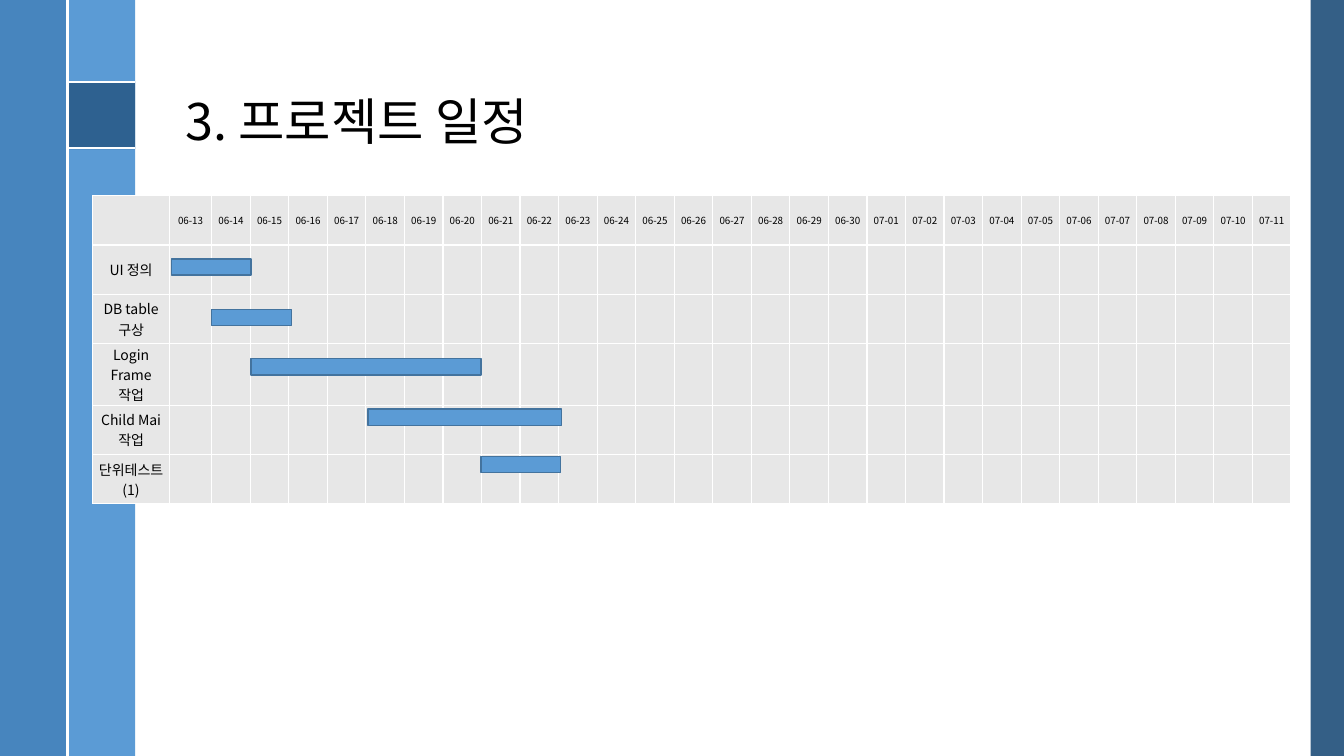
"""Build the project schedule slide with its Gantt chart."""
from dataclasses import dataclass

from lxml.etree import SubElement
from pptx import Presentation
from pptx.dml.color import RGBColor
from pptx.enum.shapes import MSO_CONNECTOR, MSO_SHAPE
from pptx.enum.text import MSO_ANCHOR, PP_ALIGN
from pptx.oxml.ns import qn
from pptx.util import Inches, Pt

FONT = "Noto Sans CJK KR"
BLACK = RGBColor(0x00, 0x00, 0x00)
WHITE = RGBColor(0xFF, 0xFF, 0xFF)
GRAY = RGBColor(0xE7, 0xE7, 0xE7)
NAVY = RGBColor(0x1F, 0x4E, 0x79)
BLUE = RGBColor(0x2E, 0x75, 0xB6)
SKY = RGBColor(0x5B, 0x9B, 0xD5)
EDGE = RGBColor(0x43, 0x73, 0x9E)

WIDE, HIGH = 13.33, 7.5
LEFT, TOP, SPAN = 0.92, 1.94, 11.89
NAME_COL, FIRST_COL = 0.76, 0.42
ROW, TALL = 0.49, 0.61
BAR = 0.16


@dataclass
class Band:
    left: float
    top: float
    width: float
    height: float
    color: RGBColor
    alpha: int = 100


@dataclass
class Rule:
    left: float
    top: float
    right: float
    base: float


@dataclass
class Task:
    name: str
    start: float
    top: float
    width: float
    height: float = ROW


BANDS = [
    Band(13, 0, 0.33, HIGH, NAVY, 90),
    Band(0.67, 0, 0.67, HIGH, SKY),
    Band(0, 0, 0.67, HIGH, BLUE, 88),
    Band(0.67, 0.81, 0.67, 0.67, NAVY, 75),
]
RULES = [
    Rule(0.67, 0.81, 1.34, 0.81),
    Rule(0.67, 1.47, 1.34, 1.47),
    Rule(0.67, 0, 0.67, HIGH),
]
TASKS = [
    Task("UI 정의", 1.7, 2.57, 0.79),
    Task("DB table 구상", 2.1, 3.07, 0.79),
    Task("Login\nFrame\n작업", 2.49, 3.56, 2.28, TALL),
    Task("Child Mai\n작업", 3.65, 4.06, 1.92),
    Task("단위테스트 (1)", 4.77, 4.53, 0.79),
]
DATES = [f"06-{day:02}" for day in range(13, 31)]
DATES += [f"07-{day:02}" for day in range(1, 12)]


def style(frame, size: float) -> None:
    """Format every run of a text frame."""
    for para in frame.paragraphs:
        for run in para.runs:
            run.font.size = Pt(size)
            run.font.name = FONT
            run.font.color.rgb = BLACK
            SubElement(run.font._element, qn("a:ea"), typeface=FONT)


def draw_band(slide, band: Band):
    """Draw a plain filled box and return it."""
    shape = slide.shapes.add_shape(
        MSO_SHAPE.RECTANGLE, Inches(band.left), Inches(band.top),
        Inches(band.width), Inches(band.height))
    shape.shadow.inherit = False
    shape.fill.solid()
    shape.fill.fore_color.rgb = band.color
    shape.line.fill.background()
    if band.alpha < 100:
        color = shape._element.spPr.find(f".//{qn('a:srgbClr')}")
        SubElement(color, qn("a:alpha"), val=str(band.alpha * 1000))
    return shape


def draw_rule(slide, rule: Rule) -> None:
    """Draw a white line."""
    line = slide.shapes.add_connector(
        MSO_CONNECTOR.STRAIGHT, Inches(rule.left), Inches(rule.top),
        Inches(rule.right), Inches(rule.base))
    line.line.color.rgb = WHITE
    line.line.width = Pt(1.5)
    SubElement(line._element.spPr, qn("a:effectLst"))


def draw_title(slide) -> None:
    """Write the heading."""
    box = slide.shapes.add_textbox(
        Inches(1.74), Inches(0.19), Inches(10.7), Inches(1.36))
    frame = box.text_frame
    frame.word_wrap = True
    frame.vertical_anchor = MSO_ANCHOR.BOTTOM
    frame.text = "3. 프로젝트 일정"
    frame.paragraphs[0].line_spacing = 0.9
    style(frame, 36)


def paint(cell) -> None:
    """Give a cell white borders and a gray fill."""
    props = cell._tc.get_or_add_tcPr()
    for side in ("lnL", "lnR", "lnT", "lnB"):
        line = SubElement(props, qn(f"a:{side}"), w=str(Pt(1)))
        fill = SubElement(line, qn("a:solidFill"))
        SubElement(fill, qn("a:srgbClr"), val=str(WHITE))
    cell.fill.solid()
    cell.fill.fore_color.rgb = GRAY


def write(cell, text: str, size: float) -> None:
    """Put centred text in a cell."""
    cell.margin_left = cell.margin_right = 0
    cell.margin_top = cell.margin_bottom = 0
    cell.vertical_anchor = MSO_ANCHOR.MIDDLE
    cell.text_frame.text = text
    for para in cell.text_frame.paragraphs:
        para.alignment = PP_ALIGN.CENTER
    style(cell.text_frame, size)


def draw_grid(slide) -> None:
    """Draw the table of tasks and dates."""
    heights = [ROW] + [task.height for task in TASKS]
    day = (SPAN - NAME_COL - FIRST_COL) / (len(DATES) - 1)
    widths = [NAME_COL, FIRST_COL] + [day] * (len(DATES) - 1)
    table = slide.shapes.add_table(
        len(heights), len(widths), Inches(LEFT), Inches(TOP),
        Inches(SPAN), Inches(sum(heights))).table
    table.first_row = table.horz_banding = False
    for col, width in zip(table.columns, widths):
        col.width = Inches(width)
    for row, height in zip(table.rows, heights):
        row.height = Inches(height)
    for cell in table.iter_cells():
        paint(cell)
    for index, date in enumerate(DATES, 1):
        write(table.cell(0, index), date, 7)
    for index, task in enumerate(TASKS, 1):
        write(table.cell(index, 0), task.name, 10)


def draw_task(slide, task: Task) -> None:
    """Draw the bar of a task."""
    bar = draw_band(slide, Band(task.start, task.top, task.width, BAR, SKY))
    bar.line.color.rgb = EDGE
    bar.line.width = Pt(1)


def main() -> None:
    """Build and save the deck."""
    deck = Presentation()
    deck.slide_width, deck.slide_height = Inches(WIDE), Inches(HIGH)
    slide = deck.slides.add_slide(deck.slide_layouts[6])
    for band in BANDS:
        draw_band(slide, band)
    for rule in RULES:
        draw_rule(slide, rule)
    draw_title(slide)
    draw_grid(slide)
    for task in TASKS:
        draw_task(slide, task)
    deck.save("out.pptx")


if __name__ == "__main__":
    main()
